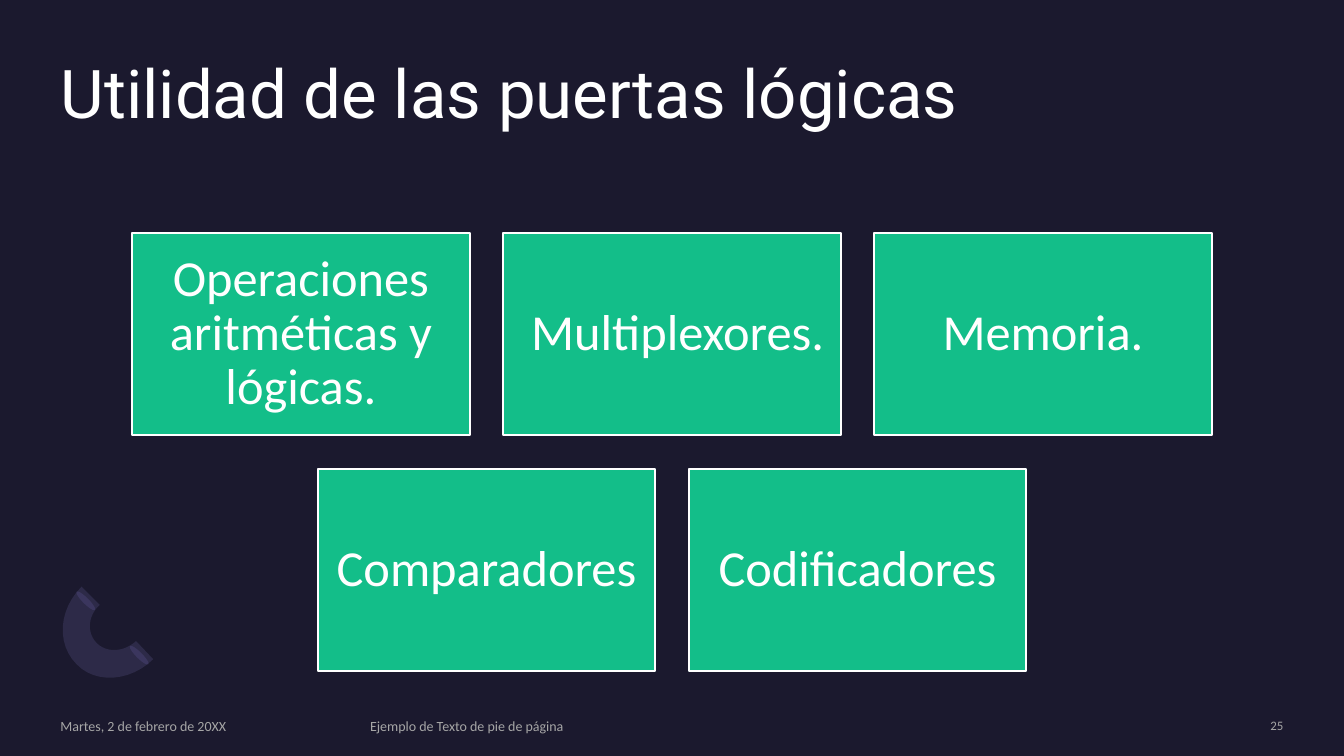
"""Build the slide on the uses of logic gates."""
import pptx
import pptx.util
import pptx.dml.color
import pptx.enum.shapes
import pptx.enum.text
import pptx.oxml
import pptx.oxml.ns

TITLE = "Utilidad de las puertas lógicas"
USES = [
    ["Operaciones aritméticas y lógicas.", " Multiplexores.", "Memoria."],
    ["Comparadores", "Codificadores"],
]
ALIGN = pptx.enum.text.PP_ALIGN
ANCHOR = pptx.enum.text.MSO_ANCHOR
FOOTERS = [
    ("Martes, 2 de febrero de 20XX", 0.6, 2.87, 10, ALIGN.LEFT, 1),
    ("Ejemplo de Texto de pie de página", 3.67, 6.98, 10, ALIGN.LEFT, 1),
    ("25", 10.88, 1.85, 9.2, ALIGN.RIGHT, 0.9),
]

RGB = pptx.dml.color.RGBColor
NIGHT = RGB(0x1B, 0x19, 0x2E)
GREEN = RGB(0x13, 0xBE, 0x89)
WHITE = RGB(0xFF, 0xFF, 0xFF)
GREY = RGB(0xA6, 0xA6, 0xA6)
CAP = RGB(0x2C, 0x28, 0x4A)
ARC = RGB(0x77, 0x71, 0xB2)

SLIDE_WIDTH, SLIDE_HEIGHT = 13.33, 7.5
BOX_WIDTH, BOX_HEIGHT, GAP, GRID_TOP = 3.35, 2.01, 0.33, 2.31
FOOTER_TOP, FOOTER_HEIGHT = 7.12, 0.17
CAP_CENTRES = [(1.38, 6.5), (0.85, 5.96)]
CAP_WIDTH, CAP_HEIGHT = 0.06, 0.26
ARC_START = (0.76, 6.59)
ARC_PIECES = [
    [(0.56, 6.39), (0.58, 6.05), (0.81, 5.82)],
    [(0.99, 6.0)],
    [(0.87, 6.11), (0.86, 6.28), (0.96, 6.38)],
    [(1.06, 6.48), (1.23, 6.47), (1.35, 6.36)],
    [(1.52, 6.54)],
    [(1.3, 6.76), (0.95, 6.79), (0.76, 6.59)],
]
CURVE_STEPS = 12


def inches(*lengths):
    return [pptx.util.Inches(length) for length in lengths]


def apply(target, values):
    for name, value in values.items():
        setattr(target, name, value)


def write(shape, text, margin, anchor, paragraph, font, color):
    frame = shape.text_frame
    sides = ("margin_left", "margin_top", "margin_right", "margin_bottom")
    apply(frame, dict.fromkeys(sides, pptx.util.Inches(margin)))
    apply(frame, {"word_wrap": True, "vertical_anchor": anchor,
                  "auto_size": pptx.enum.text.MSO_AUTO_SIZE.NONE})
    para = frame.paragraphs[0]
    apply(para, paragraph)
    span = para.add_run()
    span.text = text
    apply(span.font, font)
    span.font.color.rgb = color


def paint(shape, color):
    shape.shadow.inherit = False
    shape.fill.solid()
    shape.fill.fore_color.rgb = color
    shape.line.fill.background()


def arc_outline():
    points, start = [], ARC_START
    for piece in ARC_PIECES:
        if len(piece) == 1:
            points += piece
        else:
            controls = [start, *piece]
            for step in range(1, CURVE_STEPS + 1):
                t = step / CURVE_STEPS
                weights = [(1 - t) ** 3, 3 * t * (1 - t) ** 2, 3 * t * t * (1 - t), t ** 3]
                points.append(tuple(
                    sum(weight * point[axis] for weight, point in zip(weights, controls))
                    for axis in (0, 1)))
        start = piece[-1]
    return points


def add_ornament(page):
    for x, y in CAP_CENTRES:
        cap = page.shapes.add_shape(
            pptx.enum.shapes.MSO_SHAPE.OVAL,
            *inches(x - CAP_WIDTH / 2, y - CAP_HEIGHT / 2, CAP_WIDTH, CAP_HEIGHT))
        cap.rotation = 135
        paint(cap, CAP)
    builder = page.shapes.build_freeform(*inches(*ARC_START))
    builder.add_line_segments([inches(*point) for point in arc_outline()], close=True)
    arc = builder.convert_to_shape()
    paint(arc, ARC)
    color = arc.element.spPr.find(".//" + pptx.oxml.ns.qn("a:srgbClr"))
    color.append(pptx.oxml.parse_xml(
        f'<a:alpha {pptx.oxml.ns.nsdecls("a")} val="20000"/>'))


def add_title(page):
    title = page.shapes.title
    frame = dict(zip(("left", "top", "width", "height"), inches(0.6, 0.6, 12.13, 1.46)))
    apply(title, frame)
    write(title, TITLE, 0, ANCHOR.TOP, {"alignment": ALIGN.LEFT, "line_spacing": 0.9},
          {"name": "Roboto", "size": pptx.util.Pt(48)}, WHITE)


def add_footers(page):
    for text, left, width, size, alignment, spacing in FOOTERS:
        box = page.shapes.add_textbox(*inches(left, FOOTER_TOP, width, FOOTER_HEIGHT))
        write(box, text, 0, ANCHOR.MIDDLE,
              {"alignment": alignment, "line_spacing": spacing,
               "space_after": pptx.util.Pt(6)},
              {"name": "Calibri", "size": pptx.util.Pt(size)}, GREY)


def add_uses(page):
    for row, uses in enumerate(USES):
        row_width = len(uses) * (BOX_WIDTH + GAP) - GAP
        row_left = (SLIDE_WIDTH - row_width) / 2
        top = GRID_TOP + row * (BOX_HEIGHT + GAP)
        for column, use in enumerate(uses):
            left = row_left + column * (BOX_WIDTH + GAP)
            box = page.shapes.add_shape(pptx.enum.shapes.MSO_SHAPE.RECTANGLE,
                                        *inches(left, top, BOX_WIDTH, BOX_HEIGHT))
            paint(box, GREEN)
            box.line.color.rgb = WHITE
            box.line.width = pptx.util.Pt(1.5)
            write(box, use, 0.15, ANCHOR.MIDDLE,
                  {"alignment": ALIGN.CENTER, "line_spacing": 0.9,
                   "space_after": pptx.util.Pt(15)},
                  {"name": "Calibri", "size": pptx.util.Pt(36)}, WHITE)


def main():
    deck = pptx.Presentation()
    deck.slide_width, deck.slide_height = inches(SLIDE_WIDTH, SLIDE_HEIGHT)
    page = deck.slides.add_slide(deck.slide_layouts[5])
    page.background.fill.solid()
    page.background.fill.fore_color.rgb = NIGHT
    add_ornament(page)
    add_title(page)
    add_footers(page)
    add_uses(page)
    deck.save("out.pptx")


if __name__ == "__main__":
    main()
